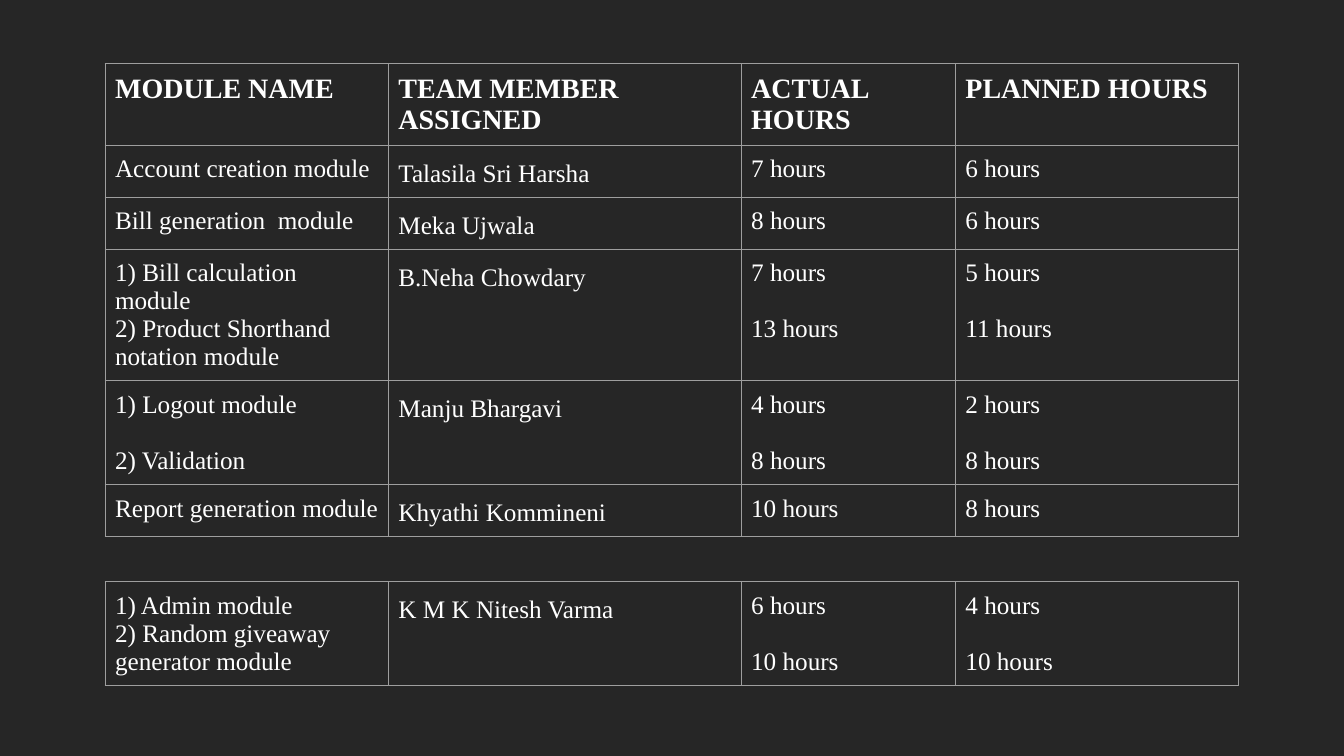
from lxml.etree import fromstring
from pptx import Presentation
from pptx.dml.color import RGBColor
from pptx.util import Cm, Pt

BACKGROUND = RGBColor(0x26, 0x26, 0x26)
TEXT = RGBColor(0xFF, 0xFF, 0xFF)
GRID = RGBColor(0x9E, 0x9E, 0x9E)
DRAWING_NS = "http://schemas.openxmlformats.org/drawingml/2006/main"

HEADINGS = ("MODULE NAME", "TEAM MEMBER ASSIGNED", "ACTUAL HOURS", "PLANNED HOURS")
# Each cell is a list of paragraphs: module, member, actual hours, planned hours
ASSIGNMENTS = [
    (["Account creation module"], ["Talasila Sri Harsha"], ["7 hours"], ["6 hours"]),
    (["Bill generation  module"], ["Meka Ujwala"], ["8 hours"], ["6 hours"]),
    (["1) Bill calculation module", "2) Product Shorthand notation module"],
     ["B.Neha Chowdary"], ["7 hours", "13 hours"], ["5 hours", "11 hours"]),
    (["1) Logout module", "2) Validation"],
     ["Manju Bhargavi"], ["4 hours", "8 hours"], ["2 hours", "8 hours"]),
    (["Report generation module"], ["Khyathi Kommineni"], ["10 hours"], ["8 hours"]),
]
ADMIN_ASSIGNMENT = (
    ["1) Admin module", "2) Random giveaway generator module"],
    ["K M K Nitesh Varma"], ["6 hours", "10 hours"], ["4 hours", "10 hours"])

MEMBER_COLUMN = 1
SPACED_MODULES = {"2) Validation"}


class HoursSlide:
    left = Cm(2.65)
    column_widths = [Cm(7.14), Cm(8.89), Cm(5.4), Cm(7.14)]
    row_height = Cm(1.07)
    line_gap = Pt(20)
    border_width = Pt(0.75)
    margins = {f"margin_{side}": Cm(0.25) for side in ("left", "right", "top", "bottom")}
    body_font = {"name": "Times New Roman", "size": Pt(18), "bold": False}
    heading_font = {**body_font, "size": Pt(20), "bold": True}

    def __init__(self, presentation):
        self.slide = presentation.slides.add_slide(presentation.slide_layouts[6])
        fill = self.slide.background.fill
        fill.solid()
        fill.fore_color.rgb = BACKGROUND

    def add_hours_table(self, top, assignments, headings=None):
        rows = [[[heading] for heading in headings]] if headings else []
        rows += assignments
        table = self.slide.shapes.add_table(
            len(rows), len(self.column_widths), self.left, top,
            sum(self.column_widths), self.row_height * len(rows)).table
        table.first_row = table.horz_banding = False
        for column, width in zip(table.columns, self.column_widths):
            column.width = width
        for row_index, row in enumerate(rows):
            is_heading = bool(headings) and row_index == 0
            for column_index, lines in enumerate(row):
                cell = table.cell(row_index, column_index)
                self.format_cell(cell)
                self.write_lines(cell, lines, column_index, is_heading)

    def format_cell(self, cell):
        for attribute, margin in self.margins.items():
            setattr(cell, attribute, margin)
        cell.fill.background()
        properties = cell._tc.get_or_add_tcPr()
        for position, side in enumerate("LRTB"):
            properties.insert(position, fromstring(
                f'<a:ln{side} xmlns:a="{DRAWING_NS}" w="{self.border_width}">'
                f'<a:solidFill><a:srgbClr val="{GRID}"/></a:solidFill></a:ln{side}>'))

    def write_lines(self, cell, lines, column_index, is_heading):
        """Write one paragraph per line, leaving a line's gap between hours."""
        cell.text = "\n".join(lines)
        for index, paragraph in enumerate(cell.text_frame.paragraphs):
            if column_index == MEMBER_COLUMN and not is_heading:
                paragraph.line_spacing = 1.15
            if index and (column_index > MEMBER_COLUMN or paragraph.text in SPACED_MODULES):
                paragraph.space_before = self.line_gap
            font = paragraph.runs[0].font
            font.color.rgb = TEXT
            for attribute, value in (self.heading_font if is_heading else self.body_font).items():
                setattr(font, attribute, value)


def main():
    presentation = Presentation()
    presentation.slide_width, presentation.slide_height = Cm(33.87), Cm(19.05)
    hours = HoursSlide(presentation)
    hours.add_hours_table(Cm(1.6), ASSIGNMENTS, HEADINGS)
    hours.add_hours_table(Cm(14.66), [ADMIN_ASSIGNMENT])
    presentation.save("out.pptx")


if __name__ == "__main__":
    main()
